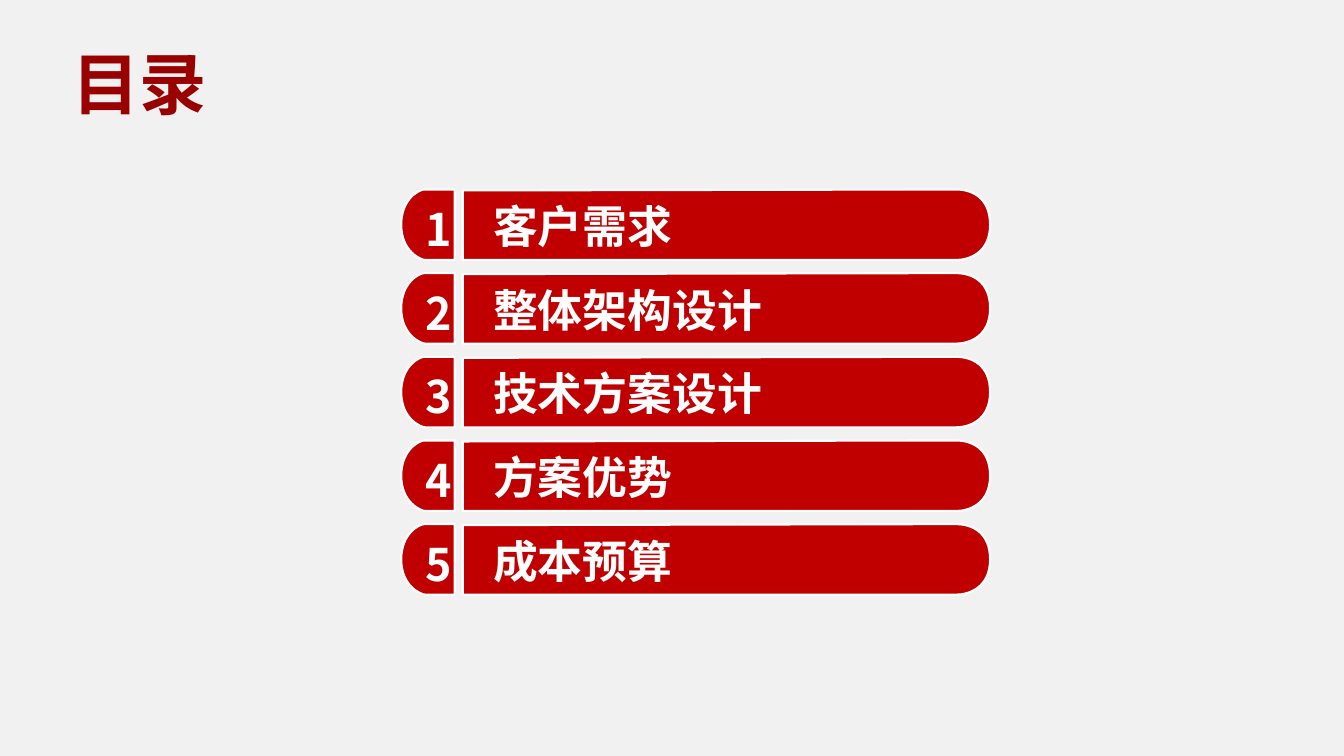
import pptx
import pptx.dml.color
import pptx.enum.text
import pptx.oxml.ns
import pptx.util

SLIDE_W, SLIDE_H = 13.33, 7.5
FONT = "Noto Sans CJK SC"
RED, DARK_RED, WHITE, GREY = "C00000", "990000", "FFFFFF", "F1F1F1"
TOPICS = ["客户需求", "整体架构设计", "技术方案设计", "方案优势", "成本预算"]
FIRST_ROW, ROW_PITCH = 1.88, 0.83
NUMBER_X, TOPIC_X = 3.98, 4.59

# Outlines from the row's top left: a start point, then one point per line or three per curve.
TOPIC_OUTLINE = [
    [(0, 0.01)],
    [(0, 0.7)],
    [(0.18, 0.7), (4.75, 0.7), (4.89, 0.7)],
    [(5.02, 0.7), (5.23, 0.63), (5.23, 0.35)],
    [(5.23, 0.08), (5.05, 0), (4.89, 0)],
    [(4.73, 0), (0.17, 0.01), (0, 0.01)],
]
NUMBER_OUTLINE = [
    [(0.53, 0)],
    [(0.53, 0.35), (0.53, 0.7), (0.53, 0.7)],
    [(0.24, 0.7)],
    [(0.2, 0.7), (0, 0.62), (0, 0.35)],
    [(0, 0.09), (0.18, 0), (0.23, 0)],
    [(0.53, 0)],
]


def colour(hex_string):
    return pptx.dml.color.RGBColor.from_string(hex_string)


def bend(bar, segments):
    """Join each run of three line points into one Bezier curve."""
    lines = iter(bar._element.findall(".//" + pptx.oxml.ns.qn("a:lnTo")))
    for segment in segments:
        pieces = [next(lines) for _ in segment]
        if len(pieces) == 3:
            curve = pieces[0].makeelement(pptx.oxml.ns.qn("a:cubicBezTo"), {})
            pieces[0].addprevious(curve)
            for piece in pieces:
                curve.append(piece[0])
                piece.getparent().remove(piece)


def add_outline(slide, outline, left, top):
    points = [(pptx.util.Inches(left + x), pptx.util.Inches(top + y))
              for segment in outline for x, y in segment]
    builder = slide.shapes.build_freeform(*points[0])
    builder.add_line_segments(points[1:], close=True)
    bar = builder.convert_to_shape()
    bend(bar, outline[1:])
    bar.shadow.inherit = False
    bar.fill.solid()
    bar.fill.fore_color.rgb = colour(RED)
    bar.line.color.rgb = colour(WHITE)
    bar.line.width = pptx.util.Pt(1.5)


def add_text(slide, text, left, top, width, height, size=32, color=WHITE,
             align="LEFT", anchor="TOP", inset=(0.07, 0.04), fit="SHAPE_TO_FIT_TEXT"):
    box = slide.shapes.add_textbox(*map(pptx.util.Inches, (left, top, width, height)))
    frame = box.text_frame
    frame.word_wrap = True
    frame.auto_size = pptx.enum.text.MSO_AUTO_SIZE[fit]
    frame.vertical_anchor = pptx.enum.text.MSO_ANCHOR[anchor]
    frame.margin_left = frame.margin_right = pptx.util.Inches(inset[0])
    frame.margin_top = frame.margin_bottom = pptx.util.Inches(inset[1])
    paragraph = frame.paragraphs[0]
    paragraph.alignment = pptx.enum.text.PP_ALIGN[align]
    run = paragraph.add_run()
    run.text = text
    run.font.name = FONT
    run.font.size = pptx.util.Pt(size)
    run.font.bold = True
    run.font.color.rgb = colour(color)
    properties = run.font._element
    east_asian = properties.makeelement(pptx.oxml.ns.qn("a:ea"), {"typeface": FONT})
    properties.find(pptx.oxml.ns.qn("a:latin")).addnext(east_asian)


def add_topic(slide, number, topic, top):
    add_outline(slide, TOPIC_OUTLINE, TOPIC_X, top)
    add_outline(slide, NUMBER_OUTLINE, NUMBER_X, top)
    add_text(slide, topic, TOPIC_X + 0.23, top + 0.05, 4.97, 0.61)
    add_text(slide, str(number), NUMBER_X + 0.17, top + 0.08, 0.26, 0.61, align="CENTER")


def main():
    deck = pptx.Presentation()
    deck.slide_width = pptx.util.Inches(SLIDE_W)
    deck.slide_height = pptx.util.Inches(SLIDE_H)
    slide = deck.slides.add_slide(deck.slide_layouts[6])
    slide.background.fill.solid()
    slide.background.fill.fore_color.rgb = colour(GREY)
    for index, topic in enumerate(TOPICS):
        add_topic(slide, index + 1, topic, FIRST_ROW + index * ROW_PITCH)
    add_text(slide, "目录", 0.59, 0.46, 10.35, 0.71, size=48, color=DARK_RED,
             anchor="MIDDLE", inset=(0.13, 0.07), fit="NONE")
    deck.save("out.pptx")


if __name__ == "__main__":
    main()
